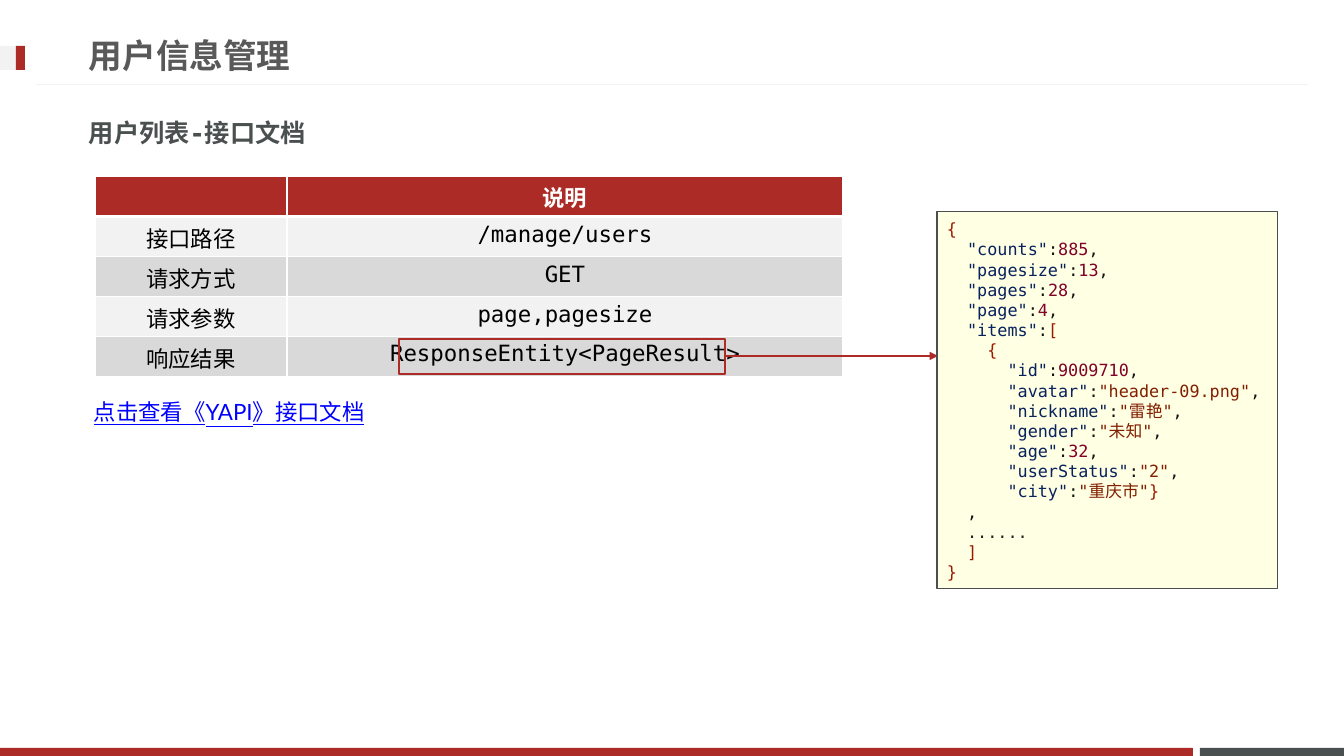
from lxml import etree
from pptx import Presentation, util as u
from pptx.dml.color import RGBColor
from pptx.enum import shapes, text
from pptx.oxml import ns

# Content
TITLE = "用户信息管理"
SUBTITLE = "用户列表-接口文档"
LINK = "点击查看《YAPI》接口文档"
API_ROWS = [
    ("", "说明"),
    ("接口路径", "/manage/users"),
    ("请求方式", "GET"),
    ("请求参数", "page,pagesize"),
    ("响应结果", "ResponseEntity<PageResult>"),
]
# indent, key, value, ending
RESPONSE = [
    (0, "", "{", ""),
    (2, "counts", "885", ","),
    (2, "pagesize", "13", ","),
    (2, "pages", "28", ","),
    (2, "page", "4", ","),
    (2, "items", "[", ""),
    (4, "", "{", ""),
    (6, "id", "9009710", ","),
    (6, "avatar", '"header-09.png"', ","),
    (6, "nickname", '"雷艳"', ","),
    (6, "gender", '"未知"', ","),
    (6, "age", "32", ","),
    (6, "userStatus", '"2"', ","),
    (6, "city", '"重庆市"', "}"),
    (2, "", "", ","),
    (2, "", "......", ""),
    (2, "", "]", ""),
    (0, "", "}", ""),
]

# Theme
MONO, SANS, CJK = "DejaVu Sans Mono", "Lato", "Noto Sans CJK SC"
THEME = {
    "red": "AD2B26", "slate": "49504F", "pale": "F2F2F2", "band": "D9D9D9",
    "white": "FFFFFF", "paper": "FFFFE4",
    "title": dict(size=24, name=MONO, color="595959", bold=True),
    "subtitle": dict(size=18, name=MONO, color="49504F", bold=True),
    "head": dict(size=16, name=MONO, color="FFFFFF", bold=True),
    "cell": dict(size=16, name=MONO, color="000000", bold=False),
    "link": dict(size=16, name=SANS, color="0000FF", underline=True),
    "code": dict(size=12, name=MONO),
    "token": {"bracket": "9C1A00", "key": "08225C", "mark": "111111",
              "number": "820128", "string": "821F01", "dots": "222222"},
}

# Geometry in px
W, H = 1344, 756
FOOT_Y, FOOT_H = 748, 8
MARK_Y, MARK_H = 46, 24
TABLE_X, TABLE_Y = 95, 176
COLS, ROWS = (192, 556), (36, 40, 40, 40, 40)
FOCUS = (399, 339, 326, 35)
CODE = (937, 212, 341, 377)


def px(n):
    return u.Emu(round(n * 914400 / 100.8))


def rgb(name):
    return RGBColor.from_string(THEME.get(name, name))


def add_run(p, value, fmt):
    r = p.add_run()
    r.text = value
    for key, val in fmt.items():
        if key == "color":
            r.font.color.rgb = rgb(val)
        else:
            setattr(r.font, key, u.Pt(val) if key == "size" else val)
    ea = etree.SubElement(r.font._element, ns.qn("a:ea"))
    ea.set("typeface", CJK)


def add_rect(s, box, fill=None, line=None, width=0.75):
    sp = s.shapes.add_shape(shapes.MSO_SHAPE.RECTANGLE, *map(px, box))
    sp.shadow.inherit = False
    if fill:
        sp.fill.solid()
        sp.fill.fore_color.rgb = rgb(fill)
    else:
        sp.fill.background()
    if line:
        sp.line.color.rgb = rgb(line)
        sp.line.width = u.Pt(width)
    else:
        sp.line.fill.background()
    return sp


def add_text(s, box, value, fmt, anchor=text.MSO_ANCHOR.MIDDLE, spacing=None):
    tf = s.shapes.add_textbox(*map(px, box)).text_frame
    tf.word_wrap = True
    tf.vertical_anchor = anchor
    p = tf.paragraphs[0]
    if spacing:
        p.line_spacing = spacing
    add_run(p, value, fmt)


def add_line(s, start, end, color, width, arrow=False):
    c = s.shapes.add_connector(shapes.MSO_CONNECTOR.STRAIGHT, *map(px, start + end))
    c.line.color.rgb = rgb(color)
    c.line.width = u.Pt(width)
    if arrow:
        etree.SubElement(c.line._get_or_add_ln(), ns.qn("a:tailEnd")).set("type", "triangle")
    etree.SubElement(c._element.spPr, ns.qn("a:effectLst"))


def border_cell(cell, bottom):
    tc_pr = cell._tc.get_or_add_tcPr()
    for side, width in (("L", 1), ("R", 1), ("T", 1), ("B", bottom)):
        ln = etree.SubElement(tc_pr, ns.qn("a:ln" + side), w=str(u.Pt(width)))
        fill = etree.SubElement(ln, ns.qn("a:solidFill"))
        etree.SubElement(fill, ns.qn("a:srgbClr"), val=THEME["white"])


def add_api_table(s):
    frame = s.shapes.add_table(len(ROWS), len(COLS), px(TABLE_X), px(TABLE_Y),
                               px(sum(COLS)), px(sum(ROWS)))
    table = frame.table
    table.horz_banding = False
    for col, width in zip(table.columns, COLS):
        col.width = px(width)
    for i, (row, height) in enumerate(zip(table.rows, ROWS)):
        row.height = px(height)
        fill = "red" if i == 0 else "pale" if i % 2 else "band"
        for cell, value in zip(row.cells, API_ROWS[i]):
            border_cell(cell, 1 if i else 3)
            cell.fill.solid()
            cell.fill.fore_color.rgb = rgb(fill)
            p = cell.text_frame.paragraphs[0]
            p.alignment = text.PP_ALIGN.CENTER
            if value:
                add_run(p, value, THEME["cell" if i else "head"])


def code_tokens(indent, key, value, ending):
    yield "mark", " " * indent
    if key:
        yield "key", f'"{key}"'
        yield "mark", ":"
    kind = ("number" if value.isdigit() else "string" if value.startswith('"')
            else "dots" if value.startswith(".") else "bracket")
    if value.isascii():
        yield kind, value
    else:
        yield kind, '"'
        yield kind, value.strip('"')
        yield kind, '"'
    yield ("mark" if ending == "," else "bracket"), ending


def add_code(s):
    tf = add_rect(s, CODE, "paper", "slate").text_frame
    tf.word_wrap = True
    tf.vertical_anchor = text.MSO_ANCHOR.MIDDLE
    tf.auto_size = text.MSO_AUTO_SIZE.SHAPE_TO_FIT_TEXT
    for i, line in enumerate(RESPONSE):
        p = tf.add_paragraph() if i else tf.paragraphs[0]
        p.alignment = text.PP_ALIGN.LEFT
        for kind, value in code_tokens(*line):
            if value:
                name = MONO if value.isascii() else CJK
                add_run(p, value, THEME["code"] | dict(name=name, color=THEME["token"][kind]))


def main():
    prs = Presentation()
    prs.slide_width, prs.slide_height = px(W), px(H)
    s = prs.slides.add_slide(prs.slide_layouts[6])

    # Frame: footer bars, header rule and marker
    add_rect(s, (1200, FOOT_Y, W - 1200, FOOT_H), "slate")
    add_rect(s, (0, FOOT_Y, 1193, FOOT_H), "red")
    add_line(s, (1308, 85), (36, 85), "pale", 0.75)
    add_rect(s, (0, MARK_Y, 25, MARK_H), "pale")
    add_rect(s, (16, MARK_Y, 9, MARK_H), "red")

    # Headings
    add_text(s, (79, 27, 967, 57), TITLE, THEME["title"])
    add_text(s, (79, 104, 1185, 57), SUBTITLE, THEME["subtitle"])

    # Interface table with highlighted result and link
    add_api_table(s)
    add_rect(s, FOCUS, line="red", width=2)
    add_text(s, (84, 380, 749, 41), LINK, THEME["link"], text.MSO_ANCHOR.TOP, 1.5)

    # Arrow to the response body
    x, y, w, h = FOCUS
    add_line(s, (x + w, y + h // 2), (CODE[0] + 1, y + h // 2), "red", 1.5, arrow=True)
    add_code(s)
    prs.save("out.pptx")


if __name__ == "__main__":
    main()
